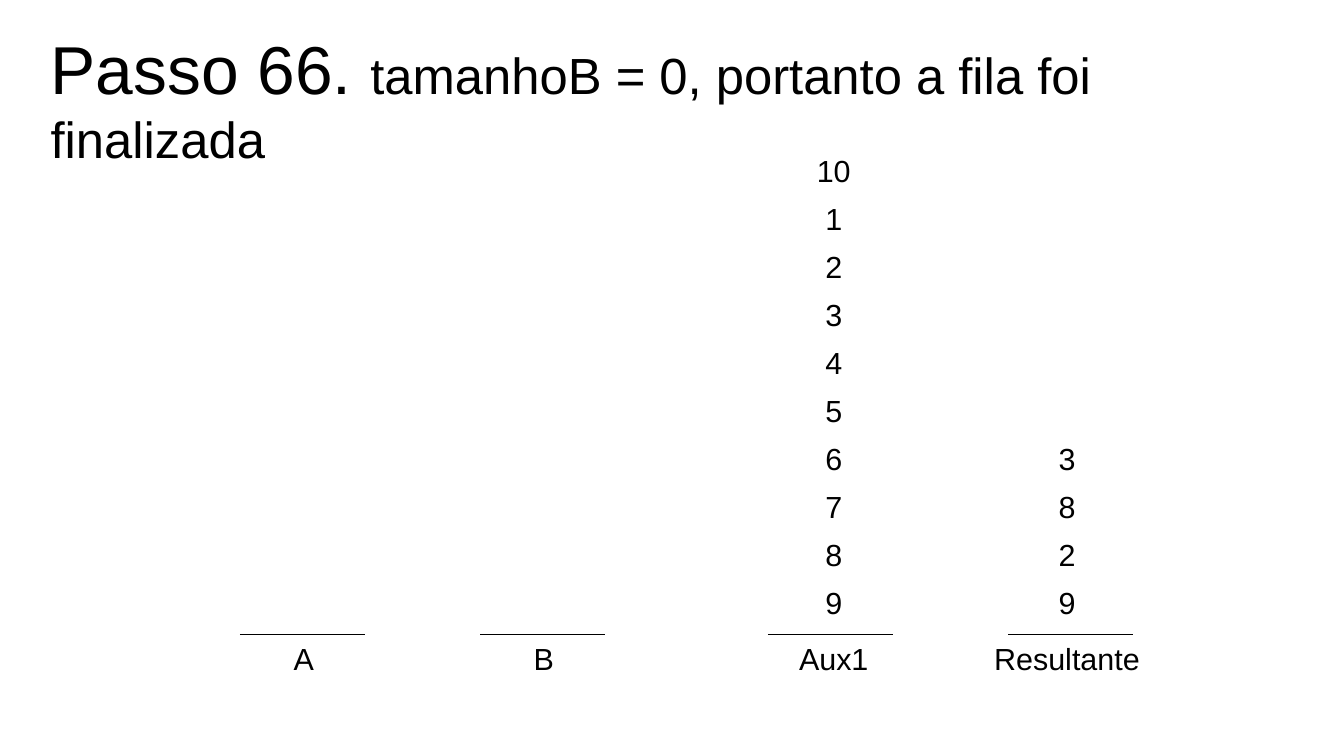
from dataclasses import dataclass

from lxml import etree
from pptx import Presentation
from pptx.dml.color import RGBColor
from pptx.enum.shapes import MSO_CONNECTOR
from pptx.enum.text import MSO_ANCHOR, MSO_AUTO_SIZE, PP_ALIGN
from pptx.oxml.ns import qn
from pptx.slide import Slide
from pptx.text.text import _Paragraph
from pptx.util import Cm, Pt

STRAIGHT = MSO_CONNECTOR.STRAIGHT
TOP = MSO_ANCHOR.TOP
NO_FIT = MSO_AUTO_SIZE.NONE
LEFT, CENTER = PP_ALIGN.LEFT, PP_ALIGN.CENTER
TITLE_ONLY = 5


@dataclass(frozen=True)
class Theme:
    font: str = "Arial"
    ink: RGBColor = RGBColor(0, 0, 0)
    step_size: int = 40
    message_size: int = 30
    item_size: int = 18
    hairline: float = 0.1


@dataclass(frozen=True)
class Stack:
    """A named stack; lengths in cm, items from top to bottom."""
    name: str
    line_center: float
    text_center: float
    label_width: float
    items: tuple[int, ...] = ()


THEME = Theme()
BASE_Y = 13.2
TOP_ITEM_OFFSET = 1.16
ROW_PITCH = 1.0
LINE_WIDTH = 2.6
TEXT_HEIGHT = 0.97

STACKS = (
    Stack("A", 6.3, 6.33, 1.0),
    Stack("B", 11.3, 11.33, 1.0),
    Stack("Aux1", 17.3, 17.37, 2.1, (10, *range(1, 10))),
    Stack("Resultante", 22.3, 22.23, 3.8, (3, 8, 2, 9)),
)


def add_run(p: _Paragraph, text: str, size: int) -> None:
    r = p.add_run()
    r.text = text
    r.font.name = THEME.font
    r.font.size = Pt(size)
    r.font.color.rgb = THEME.ink


def add_title(slide: Slide, step: str, message: str) -> None:
    sp = slide.shapes.title
    sp.left, sp.top, sp.width, sp.height = Cm(0.8), Cm(0.43), Cm(26.4), Cm(4.2)
    tf = sp.text_frame
    tf.word_wrap = True
    tf.auto_size = NO_FIT
    tf.vertical_anchor = TOP
    p = tf.paragraphs[0]
    p.alignment = LEFT
    add_run(p, step, THEME.step_size)
    add_run(p, message, THEME.message_size)


def add_text(slide: Slide, text: str, center: float, top: float, width: float) -> None:
    sp = slide.shapes.add_textbox(
        Cm(center - width / 2), Cm(top), Cm(width), Cm(TEXT_HEIGHT))
    tf = sp.text_frame
    tf.word_wrap = False
    p = tf.paragraphs[0]
    p.alignment = CENTER
    add_run(p, text, THEME.item_size)


def add_base_line(slide: Slide, center: float) -> None:
    half = LINE_WIDTH / 2
    line = slide.shapes.add_connector(
        STRAIGHT, Cm(center - half), Cm(BASE_Y), Cm(center + half), Cm(BASE_Y))
    line.line.color.rgb = THEME.ink
    line.line.width = Pt(THEME.hairline)
    etree.SubElement(line._element.spPr, qn("a:effectLst"))


def add_stack(slide: Slide, stack: Stack) -> None:
    add_base_line(slide, stack.line_center)
    add_text(slide, stack.name, stack.text_center, BASE_Y, stack.label_width)
    for row, item in enumerate(reversed(stack.items)):
        text = str(item)
        top = BASE_Y - TOP_ITEM_OFFSET - row * ROW_PITCH
        add_text(slide, text, stack.text_center, top, 0.5 + 0.36 * len(text))


def main() -> None:
    prs = Presentation()
    prs.slide_width, prs.slide_height = Cm(28), Cm(15.75)
    slide = prs.slides.add_slide(prs.slide_layouts[TITLE_ONLY])
    add_title(slide, "Passo 66. ", "tamanhoB = 0, portanto a fila foi finalizada")
    for stack in STACKS:
        add_stack(slide, stack)
    prs.save("out.pptx")


if __name__ == "__main__":
    main()
